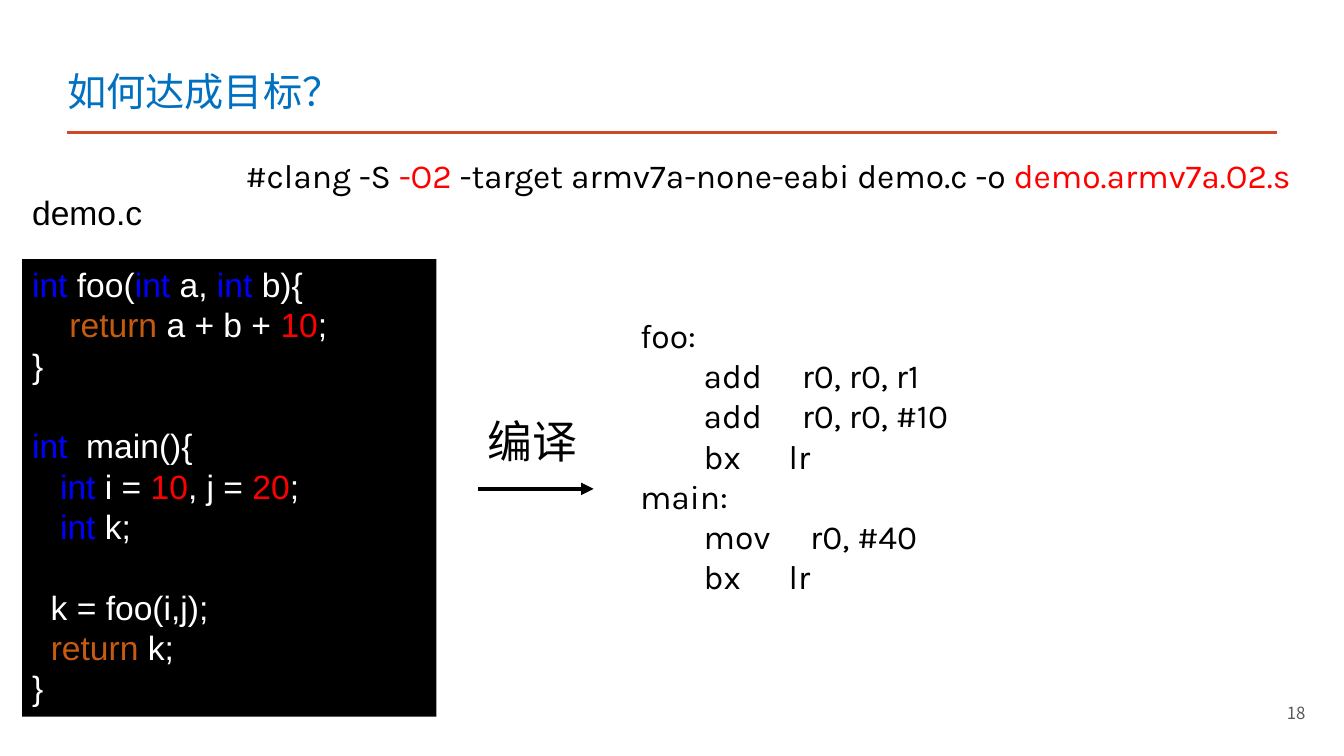
import pptx
import pptx.util
import pptx.dml.color
import pptx.enum.shapes
import pptx.enum.text
import pptx.oxml.ns
from lxml import etree

Cm, Pt = pptx.util.Cm, pptx.util.Pt
ALIGN = pptx.enum.text.PP_ALIGN
ANCHOR = pptx.enum.text.MSO_ANCHOR
COLORS = {
    "black": "000000", "white": "FFFFFF", "red": "FF0000", "blue": "0000FF",
    "brown": "C55A11", "title": "0070C0", "rule": "D24726", "gray": "595959",
}
HAN = "Noto Sans CJK SC"
LEAD = 28.8

# Each line is a list of (text, color) parts; an empty line is a gap.
SOURCE = [
    [("int", "blue"), (" foo(", "white"), ("int", "blue"), (" a, ", "white"),
     ("int", "blue"), (" b){", "white")],
    [("    ", "white"), ("return", "brown"), (" a + b + ", "white"),
     ("10", "red"), (";", "white")],
    [("}", "white")],
    [],
    [("int", "blue"), ("  main(){", "white")],
    [("   ", "white"), ("int ", "blue"), ("i = ", "white"), ("10", "red"),
     (", j = ", "white"), ("20", "red"), (";", "white")],
    [("   ", "white"), ("int", "blue"), (" k;", "white")],
    [],
    [("  k = foo(i,j);", "white")],
    [("  ", "white"), ("return ", "brown"), ("k;", "white")],
    [("}", "white")],
]
OUTPUT = [
    "foo:",
    "        add     r0, r0, r1",
    "        add     r0, r0, #10",
    "        bx      lr",
    "main:",
    "        mov     r0, #40",
    "        bx      lr",
]
COMMAND = [
    ("#clang -S ", "black"), ("-O2 ", "red"),
    ("-target armv7a-none-eabi demo.c -o ", "black"), ("demo.armv7a.O2.s", "red"),
]


def rgb(name):
    return pptx.dml.color.RGBColor.from_string(COLORS[name])


class Page:
    """Holds the slide and draws its elements, with lengths in centimetres."""

    def __init__(self, slide):
        self.slide = slide

    def fill(self, shape, lines, face, size, align=ALIGN.LEFT, lead=None):
        """Put lines of coloured parts into a shape."""
        frame = shape.text_frame
        gap, fresh = 0, True
        for parts in lines:
            if not parts:
                gap += LEAD
                continue
            para = frame.paragraphs[0] if fresh else frame.add_paragraph()
            para.alignment = align
            if lead:
                para.line_spacing = Pt(lead)
            if gap:
                para.space_before = Pt(gap)
            gap, fresh = 0, False
            for text, color in parts:
                run = para.add_run()
                run.text = text
                run.font.name, run.font.size = face, Pt(size)
                run.font.color.rgb = rgb(color)
                east = etree.SubElement(run.font._element, pptx.oxml.ns.qn("a:ea"))
                east.set("typeface", HAN)

    def label(self, box, lines, face, size, wrap=True, anchor=ANCHOR.TOP, **style):
        shape = self.slide.shapes.add_textbox(*map(Cm, box))
        shape.text_frame.word_wrap = wrap
        shape.text_frame.vertical_anchor = anchor
        self.fill(shape, lines, face, size, **style)

    def panel(self, box, color, lines, face, size, **style):
        kind = pptx.enum.shapes.MSO_SHAPE.RECTANGLE
        shape = self.slide.shapes.add_shape(kind, *map(Cm, box))
        shape.shadow.inherit = False
        shape.fill.solid()
        shape.fill.fore_color.rgb = rgb(color)
        shape.line.fill.background()
        shape.text_frame.word_wrap = True
        shape.text_frame.vertical_anchor = ANCHOR.TOP
        self.fill(shape, lines, face, size, **style)

    def line(self, left, right, top, color, width, arrow=False):
        kind = pptx.enum.shapes.MSO_CONNECTOR.STRAIGHT
        line = self.slide.shapes.add_connector(kind, Cm(left), Cm(top), Cm(right), Cm(top))
        line.line.color.rgb = rgb(color)
        line.line.width = Pt(width)
        props = line._element.spPr
        if arrow:
            tail = etree.SubElement(props.find(pptx.oxml.ns.qn("a:ln")),
                                    pptx.oxml.ns.qn("a:tailEnd"))
            tail.set("type", "triangle")
        etree.SubElement(props, pptx.oxml.ns.qn("a:effectLst"))


def main():
    deck = pptx.Presentation()
    deck.slide_width, deck.slide_height = Cm(33.87), Cm(19.05)
    page = Page(deck.slides.add_slide(deck.slide_layouts[6]))

    page.line(1.69, 32.19, 3.33, "rule", 2)
    page.label((1.45, 1.24, 19.1, 1.78), [[("如何达成目标？", "title")]], HAN, 28,
               anchor=ANCHOR.BOTTOM)
    page.label((23.27, 17.45, 9.88, 1.02), [[("18", "gray")]], HAN, 12,
               anchor=ANCHOR.MIDDLE, align=ALIGN.RIGHT)
    page.panel((0.56, 6.53, 10.44, 11.53), "black", SOURCE, "Arial", 24, lead=LEAD)
    page.label((15.88, 7.8, 9.32, 7.44), [[(text, "black")] for text in OUTPUT],
               "Karla", 24, lead=LEAD)
    page.label((5.94, 3.78, 27.36, 1.27), [COMMAND], "Karla", 24)
    page.line(12.04, 14.96, 12.32, "black", 3, arrow=True)
    page.label((12.04, 10.29, 2.79, 1.63), [[("编译", "black")]], "Karla", 32, wrap=False)
    page.label((0.56, 4.72, 3.33, 1.27), [[("demo.c", "black")]], "Arial", 24, wrap=False)
    deck.save("out.pptx")


if __name__ == "__main__":
    main()
